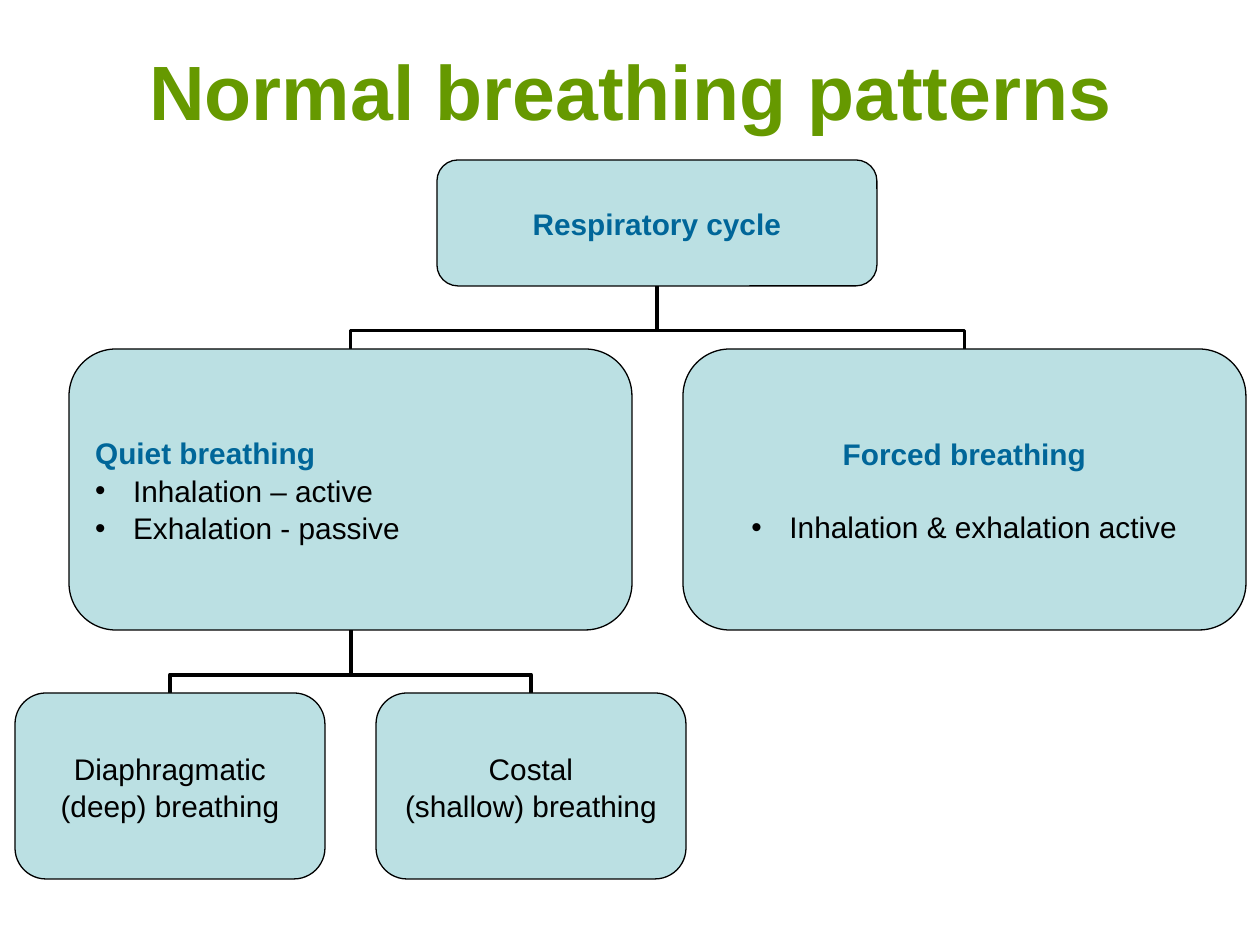
from dataclasses import dataclass

from lxml.etree import SubElement
from pptx import Presentation
from pptx.dml.color import RGBColor
from pptx.enum.shapes import MSO_CONNECTOR, MSO_SHAPE
from pptx.enum.text import MSO_ANCHOR, MSO_AUTO_SIZE, PP_ALIGN
from pptx.oxml.ns import qn
from pptx.slide import Slide
from pptx.util import Emu, Pt

GREEN = RGBColor(0x66, 0x99, 0x00)
BLUE = RGBColor(0x00, 0x66, 0x99)
PALE_TEAL = RGBColor(0xBB, 0xE0, 0xE3)
BLACK = RGBColor(0x00, 0x00, 0x00)
FONT = "Arial"
BULLET_INDENT = 38


@dataclass(frozen=True)
class Line:
    """One paragraph of a box."""
    text: str
    heading: bool = False
    bullet: bool = False
    space_before: float = 0


@dataclass(frozen=True)
class Box:
    """A node of the breathing chart, measured in px."""
    left: int
    top: int
    width: int
    height: int
    lines: tuple[Line, ...]
    alignment: PP_ALIGN = PP_ALIGN.CENTER

    @property
    def center(self) -> float:
        """Return the horizontal middle."""
        return self.left + self.width / 2

    @property
    def bottom(self) -> int:
        """Return the lower edge."""
        return self.top + self.height


CYCLE = Box(437, 160, 440, 126, (Line("Respiratory cycle", heading=True),))
QUIET = Box(69, 349, 563, 281, (
    Line("Quiet breathing", heading=True),
    Line("Inhalation – active", bullet=True),
    Line("Exhalation - passive", bullet=True),
), PP_ALIGN.LEFT)
FORCED = Box(683, 349, 563, 281, (
    Line("Forced breathing", heading=True),
    Line("Inhalation & exhalation active", bullet=True, space_before=20.5),
))
DIAPHRAGMATIC = Box(15, 693, 310, 186, (Line("Diaphragmatic"), Line("(deep) breathing")))
COSTAL = Box(376, 693, 310, 186, (Line("Costal"), Line("(shallow) breathing")))
BOXES = (CYCLE, QUIET, FORCED, DIAPHRAGMATIC, COSTAL)
BRANCHES = ((QUIET, COSTAL), (QUIET, DIAPHRAGMATIC), (CYCLE, FORCED), (CYCLE, QUIET))


def px(length: float) -> Emu:
    """Turn px into EMU."""
    return Emu(round(length * 914400 / 126))


def add_run(paragraph, text: str, size: float, color: RGBColor, bold: bool) -> None:
    """Add one formatted run."""
    run = paragraph.add_run()
    run.text = text
    run.font.name = FONT
    run.font.size = Pt(size)
    run.font.bold = bold
    run.font.color.rgb = color


def add_bullet(paragraph) -> None:
    """Give a paragraph a hanging round bullet."""
    properties = paragraph._p.get_or_add_pPr()
    properties.set("marL", str(px(BULLET_INDENT)))
    properties.set("indent", str(-px(BULLET_INDENT)))
    color = SubElement(properties, qn("a:buClr"))
    SubElement(color, qn("a:srgbClr"), val=str(BLACK))
    SubElement(properties, qn("a:buFont"), typeface=FONT)
    SubElement(properties, qn("a:buChar"), char="•")


def add_title(slide: Slide, text: str) -> None:
    """Fill and place the title placeholder."""
    title = slide.shapes.title
    title.left, title.top, title.width, title.height = map(px, (64, 11, 1134, 158))
    frame = title.text_frame
    frame.auto_size = MSO_AUTO_SIZE.NONE
    frame.vertical_anchor = MSO_ANCHOR.MIDDLE
    paragraph = frame.paragraphs[0]
    paragraph.alignment = PP_ALIGN.CENTER
    add_run(paragraph, text, 44, GREEN, True)


def add_box(slide: Slide, box: Box) -> None:
    """Draw a rounded box with its lines."""
    shape = slide.shapes.add_shape(
        MSO_SHAPE.ROUNDED_RECTANGLE, *map(px, (box.left, box.top, box.width, box.height)))
    shape.shadow.inherit = False
    shape.fill.solid()
    shape.fill.fore_color.rgb = PALE_TEAL
    shape.line.color.rgb = BLACK
    shape.line.width = Pt(0.75)
    frame = shape.text_frame
    frame.word_wrap = True
    frame.vertical_anchor = MSO_ANCHOR.MIDDLE
    for index, line in enumerate(box.lines):
        paragraph = frame.add_paragraph() if index else frame.paragraphs[0]
        paragraph.alignment = box.alignment
        paragraph.line_spacing = 1.05
        if line.space_before:
            paragraph.space_before = Pt(line.space_before)
        if line.bullet:
            add_bullet(paragraph)
        add_run(paragraph, line.text, 17, BLUE if line.heading else BLACK, line.heading)


def add_branch(slide: Slide, parent: Box, child: Box) -> None:
    """Draw a turned elbow from the top of a child to the bottom of its parent."""
    drop = child.top - parent.bottom
    spread = abs(child.center - parent.center)
    left = (child.center + parent.center - drop) / 2
    top = (child.top + parent.bottom - spread) / 2
    is_left = child.center < parent.center
    begin_x, end_x = (left + drop, left) if is_left else (left, left + drop)
    connector = slide.shapes.add_connector(
        MSO_CONNECTOR.ELBOW, *map(px, (begin_x, top + spread, end_x, top)))
    connector.line.color.rgb = BLACK
    connector.line.width = Pt(2.25)
    properties = connector._element.spPr
    properties.find(qn("a:xfrm")).set("rot", "5400000" if is_left else "16200000")
    adjustments = properties.find(qn("a:prstGeom")).find(qn("a:avLst"))
    SubElement(adjustments, qn("a:gd"), name="adj1", fmla="val 29200")
    SubElement(properties, qn("a:effectLst"))


def main() -> None:
    """Build and save the slide."""
    presentation = Presentation()
    presentation.slide_width = px(1260)
    presentation.slide_height = px(945)
    slide = presentation.slides.add_slide(presentation.slide_layouts[5])
    add_title(slide, "Normal breathing patterns")
    for parent, child in BRANCHES:
        add_branch(slide, parent, child)
    for box in BOXES:
        add_box(slide, box)
    presentation.save("out.pptx")


if __name__ == "__main__":
    main()
